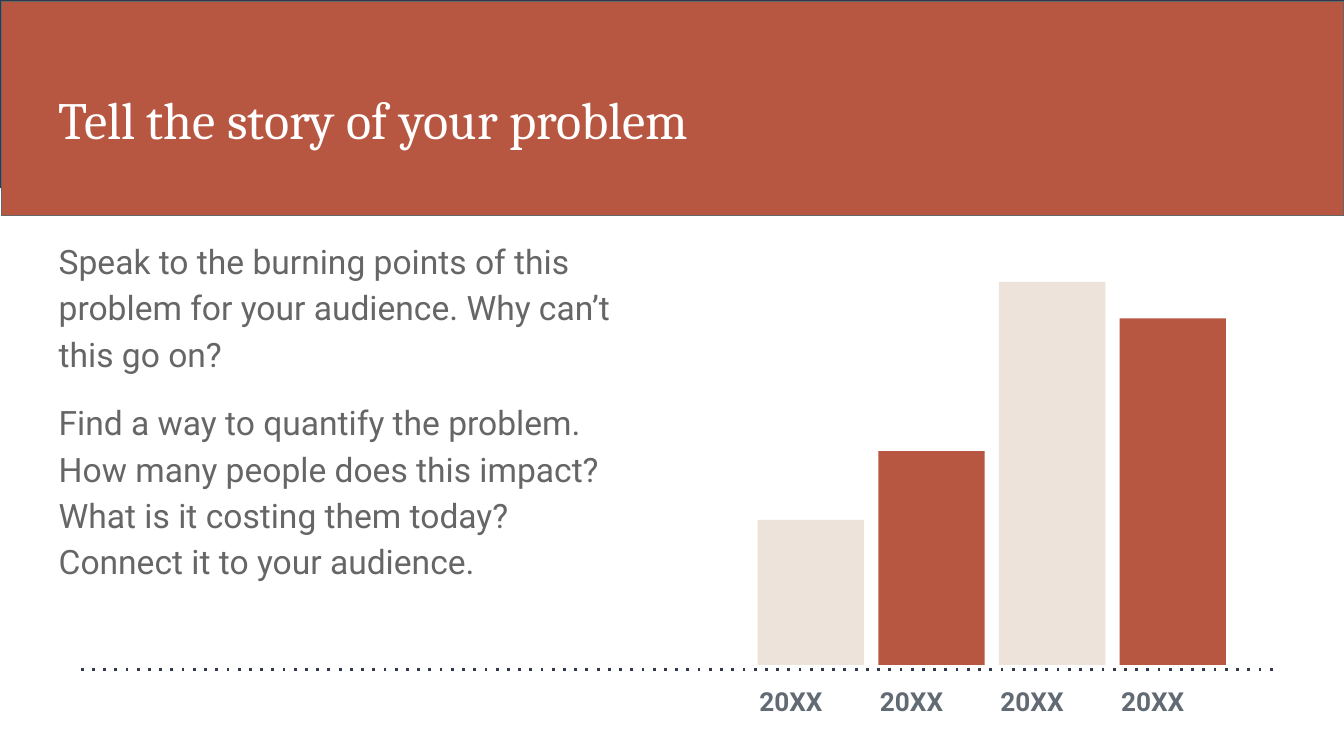
from dataclasses import dataclass

from lxml import etree
from pptx import Presentation
from pptx.dml.color import RGBColor
from pptx.enum import dml, shapes, text
from pptx.oxml.ns import qn
from pptx.slide import Slide
from pptx.text.text import TextFrame
from pptx.util import Cm, Pt


@dataclass(frozen=True)
class Type:
    font: str
    size: float
    color: str
    bold: bool = False
    line_spacing: float = 1.0


@dataclass(frozen=True)
class Theme:
    navy: str = "31394D"
    rust: str = "B85741"
    sand: str = "EDE3DA"
    gray: str = "666666"
    title: Type = Type("Cambria", 28, "FFFFFF")
    body: Type = Type("Roboto", 18, "666666", line_spacing=1.15)
    label: Type = Type("Roboto", 14, "626B73", bold=True, line_spacing=1.15)


@dataclass(frozen=True)
class Area:
    """A rectangle on the page, in centimetres."""
    left: float
    top: float
    width: float
    height: float

    def lengths(self) -> tuple[Cm, Cm, Cm, Cm]:
        return Cm(self.left), Cm(self.top), Cm(self.width), Cm(self.height)


@dataclass(frozen=True)
class Bar:
    label: str
    height: float
    color: str


THEME = Theme()
INSET = Cm(0.25)
BAR_LEFT, BAR_STEP, BAR_WIDTH, BAR_BOTTOM = 14.32, 2.28, 2.01, 12.57
AXIS_TOP = 12.65
BARS = [
    Bar("20XX", 2.74, THEME.sand),
    Bar("20XX", 4.04, THEME.rust),
    Bar("20XX", 7.24, THEME.sand),
    Bar("20XX", 6.55, THEME.rust),
]


def add_rectangle(page: Slide, area: Area, fill: str, outline: str | None = None) -> None:
    box = page.shapes.add_shape(shapes.MSO_SHAPE.RECTANGLE, *area.lengths())
    box.shadow.inherit = False
    box.fill.solid()
    box.fill.fore_color.rgb = RGBColor.from_string(fill)
    if outline:
        box.line.color.rgb = RGBColor.from_string(outline)
        box.line.width = Pt(0.75)
    else:
        box.line.fill.background()


def style_text(frame: TextFrame, style: Type, gap: float = 0) -> None:
    """Format every paragraph, with gap points between them."""
    for index, para in enumerate(frame.paragraphs):
        para.line_spacing = style.line_spacing
        if index and gap:
            para.space_before = Pt(gap)
        for span in para.runs:
            span.font.name = style.font
            span.font.size = Pt(style.size)
            span.font.bold = style.bold
            span.font.color.rgb = RGBColor.from_string(style.color)


def add_text(page: Slide, area: Area, content: str, style: Type, gap: float = 0) -> None:
    frame = page.shapes.add_textbox(*area.lengths()).text_frame
    frame.word_wrap = True
    frame.vertical_anchor = text.MSO_ANCHOR.TOP
    frame.margin_left = frame.margin_right = INSET
    frame.margin_top = frame.margin_bottom = INSET
    frame.text = content
    style_text(frame, style, gap)


def add_labels(page: Slide, bars: list[Bar]) -> None:
    area = Area(14.1, AXIS_TOP, BAR_STEP * len(bars), 0.66)
    table = page.shapes.add_table(1, len(bars), *area.lengths()).table
    table.first_row = table.horz_banding = False
    for cell, bar in zip(table.iter_cells(), bars):
        cell.fill.background()
        cell.margin_left = cell.margin_right = INSET
        cell.margin_top = cell.margin_bottom = INSET
        cell.text_frame.text = bar.label
        style_text(cell.text_frame, THEME.label)


def add_bars(page: Slide, bars: list[Bar]) -> None:
    for index, bar in enumerate(bars):
        area = Area(BAR_LEFT + index * BAR_STEP, BAR_BOTTOM - bar.height,
                    BAR_WIDTH, bar.height)
        add_rectangle(page, area, bar.color)


def add_axis(page: Slide) -> None:
    axis = page.shapes.add_connector(shapes.MSO_CONNECTOR.STRAIGHT,
                                     Cm(24.05), Cm(AXIS_TOP), Cm(1.42), Cm(AXIS_TOP))
    axis.line.color.rgb = RGBColor.from_string(THEME.navy)
    axis.line.width = Pt(1.5)
    axis.line.dash_style = dml.MSO_LINE.ROUND_DOT
    for dash in axis._element.iter(qn("a:prstDash")):
        dash.set("val", "dot")
    etree.SubElement(axis._element.spPr, qn("a:effectLst"))


def main() -> None:
    deck = Presentation()
    deck.slide_width, deck.slide_height = Cm(25.4), Cm(14.29)
    page = deck.slides.add_slide(deck.slide_layouts[6])

    add_rectangle(page, Area(0, 0, 25.4, 3.56), THEME.navy)
    add_rectangle(page, Area(0.03, 0.03, 25.37, 4.04), THEME.rust, THEME.gray)
    add_text(page, Area(0.86, 1.4, 23.67, 1.73), "Tell the story of your problem", THEME.title)
    add_text(page, Area(0.86, 4.19, 11.1, 8.53),
             "Speak to the burning points of this problem for your audience. "
             "Why can’t this go on?\n"
             "Find a way to quantify the problem. How many people does this impact? "
             "What is it costing them today? Connect it to your audience.",
             THEME.body, gap=12)
    add_labels(page, BARS)
    add_bars(page, BARS)
    add_axis(page)

    deck.save("out.pptx")


if __name__ == "__main__":
    main()
